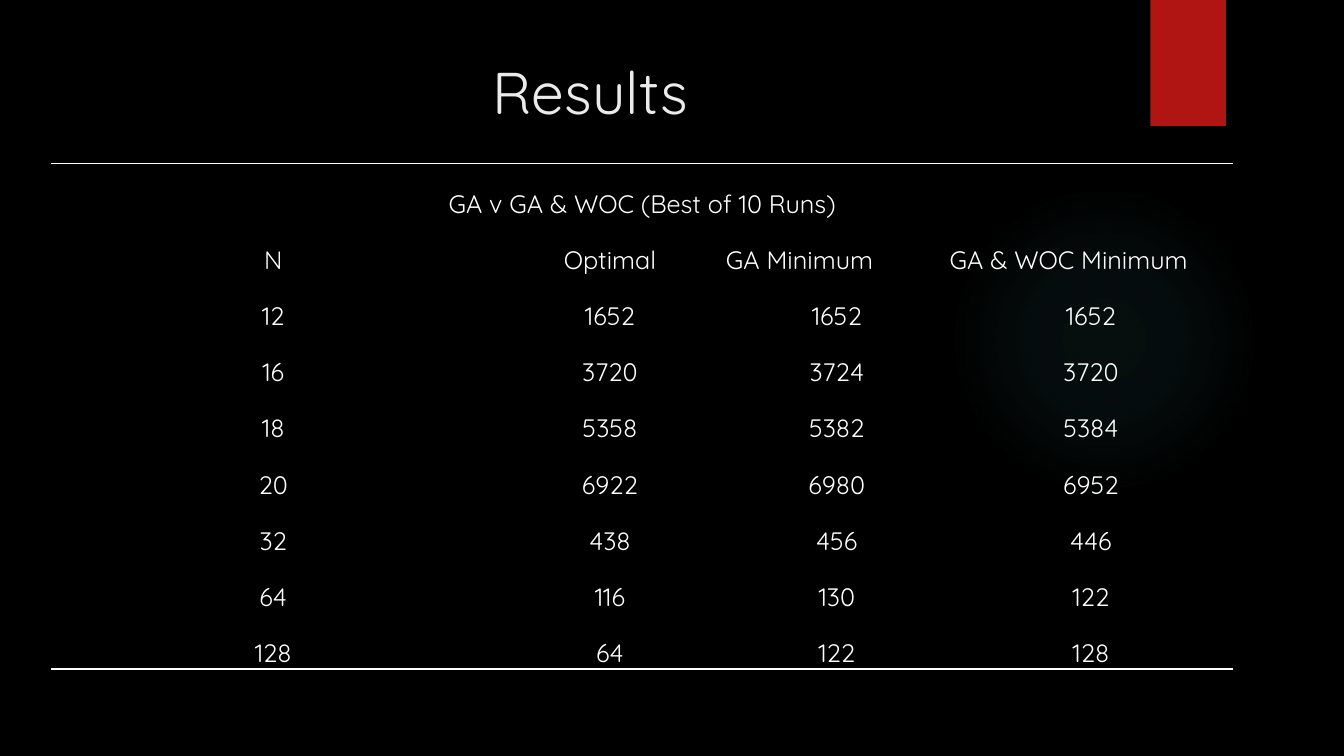
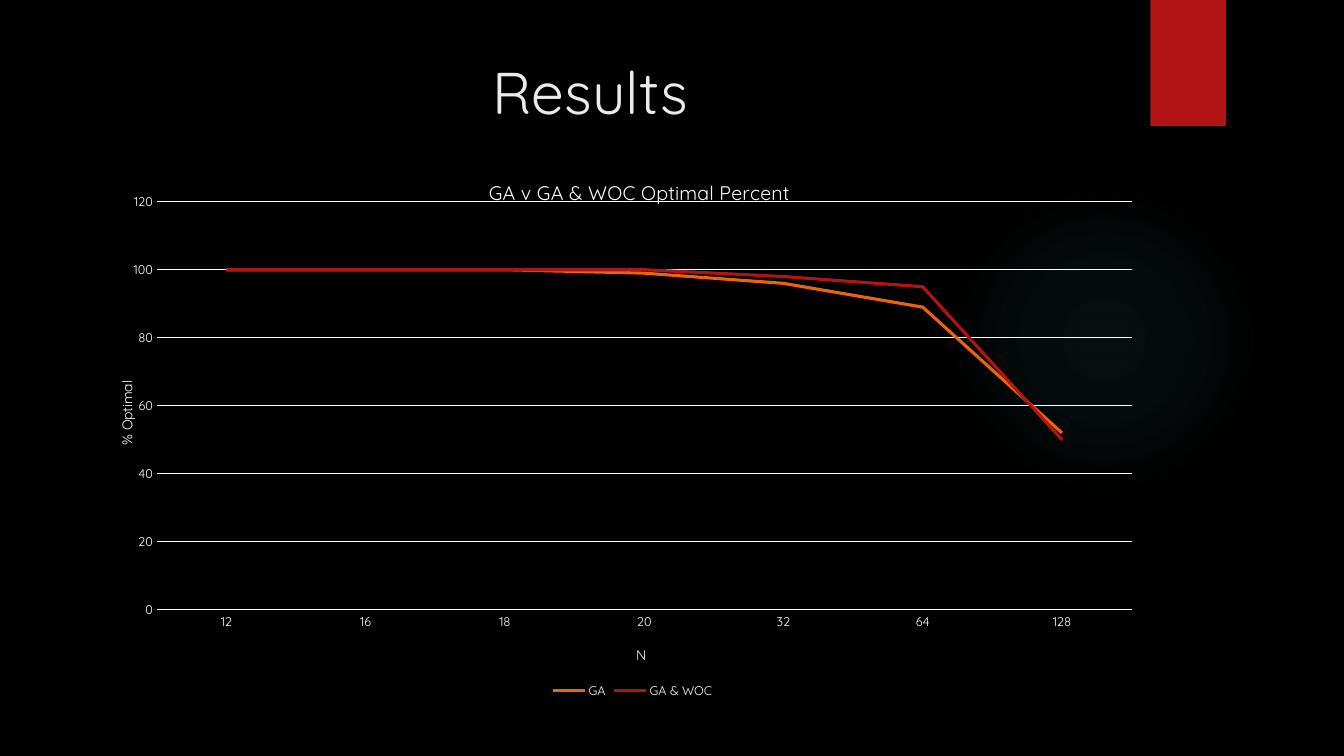
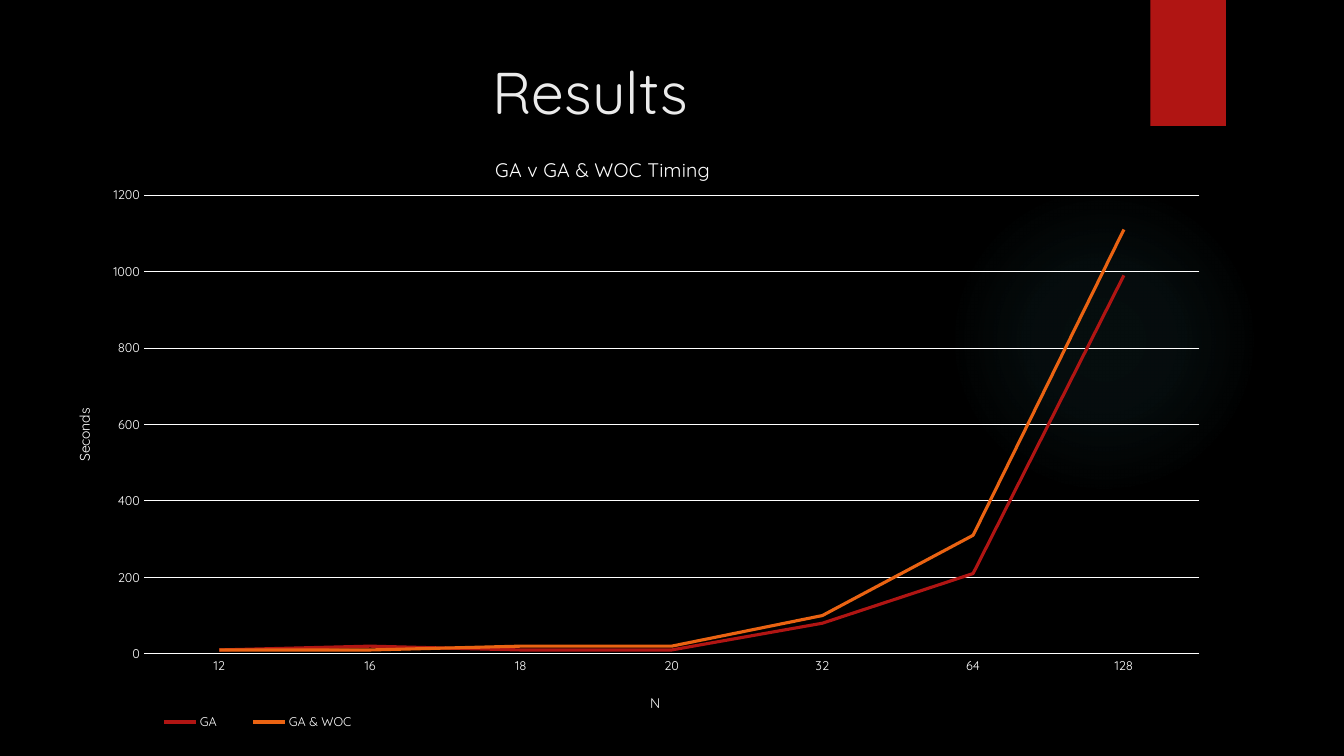
from pptx import Presentation
from pptx.chart.data import CategoryChartData
from pptx.dml.color import RGBColor
from pptx.enum.chart import XL_CHART_TYPE, XL_LEGEND_POSITION, XL_TICK_MARK
from pptx.enum.shapes import MSO_SHAPE
from pptx.enum.text import MSO_ANCHOR, MSO_AUTO_SIZE, PP_ALIGN
from pptx.oxml import parse_xml
from pptx.oxml.ns import nsdecls, qn
from pptx.util import Inches, Pt

COLORS = {
    "background": "000000",
    "title": "EBEBEB",
    "text": "FFFFFF",
    "red": "B01513",
    "orange": "EA6312",
    "glow": "50B9C1",
    "shadow": "000000",
}
FONT = "Quicksand"
PLAIN_TABLE_STYLE = "{2D5ABB26-0587-4C30-8999-92F81FD0307C}"

BEST_RUNS = [
    ("GA v GA & WOC (Best of 10 Runs)", "", "", ""),
    ("N", "Optimal", "GA Minimum", "GA & WOC Minimum"),
    ("12", "1652", "1652", "1652"),
    ("16", "3720", "3724", "3720"),
    ("18", "5358", "5382", "5384"),
    ("20", "6922", "6980", "6952"),
    ("32", "438", "456", "446"),
    ("64", "116", "130", "122"),
    ("128", "64", "122", "128"),
]
N_VALUES = [row[0] for row in BEST_RUNS[2:]]


def rgb(color):
    return RGBColor.from_string(COLORS[color])


def style_runs(text_frame, size, color="text"):
    for paragraph in text_frame.paragraphs:
        for run in paragraph.runs:
            run.font.name = FONT
            run.font.size = Pt(size)
            run.font.bold = False
            run.font.color.rgb = rgb(color)


def place_part(part, x, y, width=None, height=None, inner=False):
    """Fix a chart part at fractions of the chart area."""
    values = [("xMode", "edge"), ("yMode", "edge"), ("x", x), ("y", y)]
    if inner:
        values.insert(0, ("layoutTarget", "inner"))
    if width:
        values += [("w", width), ("h", height)]
    settings = "".join(f'<c:{tag} val="{value}"/>' for tag, value in values)
    layout = parse_xml(
        f'<c:layout {nsdecls("c")}><c:manualLayout>{settings}'
        "</c:manualLayout></c:layout>"
    )
    for old_layout in part.findall(qn("c:layout")):
        part.remove(old_layout)
    leading = [child for child in part if child.tag in (qn("c:tx"), qn("c:legendPos"))]
    part.insert(len(leading), layout)


def set_borders(cell, visible_sides):
    properties = cell._tc.get_or_add_tcPr()
    for side in "LRTB":
        if side in visible_sides:
            width = Pt(1)
            fill = f'<a:solidFill><a:srgbClr val="{COLORS["text"]}"/></a:solidFill>'
        else:
            width, fill = 0, "<a:noFill/>"
        properties.append(
            parse_xml(f'<a:ln{side} {nsdecls("a")} w="{width}">{fill}</a:ln{side}>')
        )


class Deck:
    def __init__(self):
        self.presentation = Presentation()
        self.presentation.slide_width = Inches(13.33)
        self.presentation.slide_height = Inches(7.5)
        background = self.presentation.slide_master.background.fill
        background.solid()
        background.fore_color.rgb = rgb("background")
        self.slide = None

    def add_slide(self, heading):
        layout = self.presentation.slide_layouts.get_by_name("Title Only")
        self.slide = self.presentation.slides.add_slide(layout)
        self.add_glow()
        self.add_band()
        self.set_title(heading)

    def add_plain_shape(self, preset, left, top, width, height):
        shape = self.slide.shapes.add_shape(
            preset, Inches(left), Inches(top), Inches(width), Inches(height)
        )
        shape.shadow.inherit = False
        shape.line.fill.background()
        return shape

    def add_glow(self):
        glow = self.add_plain_shape(MSO_SHAPE.OVAL, 9.41, 1.83, 3.08, 3.08)
        glow.fill.background()
        stops = "".join(
            f'<a:gs pos="{position * 1000}"><a:srgbClr val="{COLORS["glow"]}">'
            f'<a:alpha val="{alpha * 1000}"/></a:srgbClr></a:gs>'
            for position, alpha in ((0, 7), (36, 6), (69, 0))
        )
        gradient = parse_xml(
            f'<a:gradFill {nsdecls("a")} rotWithShape="1"><a:gsLst>{stops}</a:gsLst>'
            '<a:path path="circle"><a:fillToRect l="50000" t="50000" r="50000" '
            'b="50000"/></a:path></a:gradFill>'
        )
        properties = glow.element.spPr
        properties.replace(properties.find(qn("a:noFill")), gradient)

    def add_band(self):
        band = self.add_plain_shape(MSO_SHAPE.RECTANGLE, 11.41, 0, 0.75, 1.25)
        band.fill.solid()
        band.fill.fore_color.rgb = rgb("red")
        band.element.spPr.find(qn("a:effectLst")).append(
            parse_xml(
                f'<a:outerShdw {nsdecls("a")} blurRad="{Pt(3)}" dist="{Pt(2)}" '
                f'dir="5400000"><a:srgbClr val="{COLORS["shadow"]}">'
                '<a:alpha val="45000"/></a:srgbClr></a:outerShdw>'
            )
        )

    def set_title(self, heading):
        title = self.slide.shapes.title
        title.left, title.top = Inches(0.71), Inches(0.5)
        title.width, title.height = Inches(10.29), Inches(1.53)
        frame = title.text_frame
        frame.text = heading
        frame.word_wrap = True
        frame.auto_size = MSO_AUTO_SIZE.NONE
        frame.vertical_anchor = MSO_ANCHOR.TOP
        frame.paragraphs[0].alignment = PP_ALIGN.CENTER
        style_runs(frame, 42, "title")

    def add_results_table(self, rows, column_widths, left, top, height):
        frame = self.slide.shapes.add_table(
            len(rows), len(column_widths), Inches(left), Inches(top),
            Inches(sum(column_widths)), Inches(height),
        )
        for style_id in frame.element.iter(qn("a:tableStyleId")):
            style_id.text = PLAIN_TABLE_STYLE
        table = frame.table
        table.first_row = table.horz_banding = False
        for column, width in zip(table.columns, column_widths):
            column.width = Inches(width)
        table.cell(0, 0).merge(table.cell(0, len(column_widths) - 1))
        last_row = len(rows) - 1
        for row_index, row in enumerate(rows):
            sides = {0: "T", last_row: "B"}.get(row_index, "")
            for column_index, value in enumerate(row):
                cell = table.cell(row_index, column_index)
                is_left_header = row_index == 1 and column_index > 1
                self.fill_cell(cell, value, sides, is_left_header)

    def fill_cell(self, cell, value, sides, left_aligned):
        set_borders(cell, sides)
        cell.fill.background()
        cell.margin_left = cell.margin_right = cell.margin_top = Inches(0.01)
        cell.margin_bottom = 0
        cell.vertical_anchor = MSO_ANCHOR.BOTTOM
        cell.text_frame.text = value
        paragraph = cell.text_frame.paragraphs[0]
        paragraph.alignment = PP_ALIGN.LEFT if left_aligned else PP_ALIGN.CENTER
        style_runs(cell.text_frame, 18)

    def add_line_chart(self, box, heading, unit, series, scale, places):
        """series: (name, color, values); places: fractions for each chart part."""
        data = CategoryChartData()
        data.categories = N_VALUES
        for name, _, values in series:
            data.add_series(name, values)
        chart = self.slide.shapes.add_chart(
            XL_CHART_TYPE.LINE, *(Inches(length) for length in box), data
        ).chart
        chart.font.name = FONT
        chart.font.size = Pt(10)
        chart.font.color.rgb = rgb("text")

        plot = chart.plots[0]
        plot.vary_by_categories = False
        for line, (_, color, _) in zip(plot.series, series):
            line.smooth = False
            line.format.line.width = Pt(2.25)
            line.format.line.color.rgb = rgb(color)

        self.style_axes(chart, scale)
        chart.has_title = True
        self.set_chart_text(chart.chart_title, heading, 14, places["heading"])
        unit_title = chart.value_axis.axis_title
        self.set_chart_text(unit_title, unit, 10, places["unit"])
        unit_title.element.find(".//" + qn("a:bodyPr")).set("rot", "-5400000")
        self.set_chart_text(chart.category_axis.axis_title, "N", 10, places["count"])

        chart.has_legend = True
        legend = chart.legend
        legend.position = XL_LEGEND_POSITION.BOTTOM
        legend.include_in_layout = False
        legend.font.name = FONT
        legend.font.size = Pt(9)
        legend.font.color.rgb = rgb("text")
        chart_space = chart.element
        place_part(chart_space.find(".//" + qn("c:legend")), *places["legend"])
        plot_area = chart_space.find(".//" + qn("c:plotArea"))
        place_part(plot_area, *places["plot"], inner=True)

    def style_axes(self, chart, scale):
        value_axis, category_axis = chart.value_axis, chart.category_axis
        for axis in (value_axis, category_axis):
            axis.major_tick_mark = axis.minor_tick_mark = XL_TICK_MARK.NONE
            axis.tick_labels.font.name = FONT
            axis.tick_labels.font.size = Pt(9)
            axis.tick_labels.font.color.rgb = rgb("text")
        value_axis.minimum_scale = 0
        value_axis.maximum_scale, value_axis.major_unit = scale
        value_axis.format.line.fill.background()
        value_axis.has_major_gridlines = True
        for rule in (value_axis.major_gridlines, category_axis):
            rule.format.line.width = Pt(0.75)
            rule.format.line.color.rgb = rgb("text")

    def set_chart_text(self, label, text, size, place):
        label.text_frame.text = text
        style_runs(label.text_frame, size)
        place_part(label.element, *place)


def main():
    deck = Deck()

    deck.add_slide("Results")
    deck.add_results_table(BEST_RUNS, [4.4, 2.28, 2.22, 2.82], 0.51, 1.62, 5.02)

    deck.add_slide("Results")
    deck.add_line_chart(
        (1.03, 1.51, 10.51, 5.47),
        "GA v GA & WOC Optimal Percent",
        "% Optimal",
        [
            ("GA", "orange", (100, 100, 100, 99, 96, 89, 52)),
            ("GA & WOC", "red", (100, 100, 100, 100, 98, 95, 50)),
        ],
        scale=(120, 20),
        places={
            "heading": (0.36, 0.04),
            "unit": (0.01, 0.41),
            "count": (0.5, 0.89),
            "legend": (0.42, 0.96),
            "plot": (0.05, 0.09, 0.92, 0.74),
        },
    )

    deck.add_slide("Results")
    deck.add_line_chart(
        (0, 1.26, 11.9, 6.15),
        "GA v GA & WOC Timing",
        "Seconds",
        [
            ("GA", "red", (10, 20, 10, 10, 80, 210, 990)),
            ("GA & WOC", "orange", (10, 10, 20, 20, 100, 310, 1110)),
        ],
        scale=(1200, 200),
        places={
            "heading": (0.41, 0.04),
            "unit": (0.06, 0.45),
            "count": (0.54, 0.91),
            "legend": (0.11, 0.94, 0.21, 0.04),
            "plot": (0.12, 0.11, 0.88, 0.74),
        },
    )

    deck.presentation.save("out.pptx")


if __name__ == "__main__":
    main()
